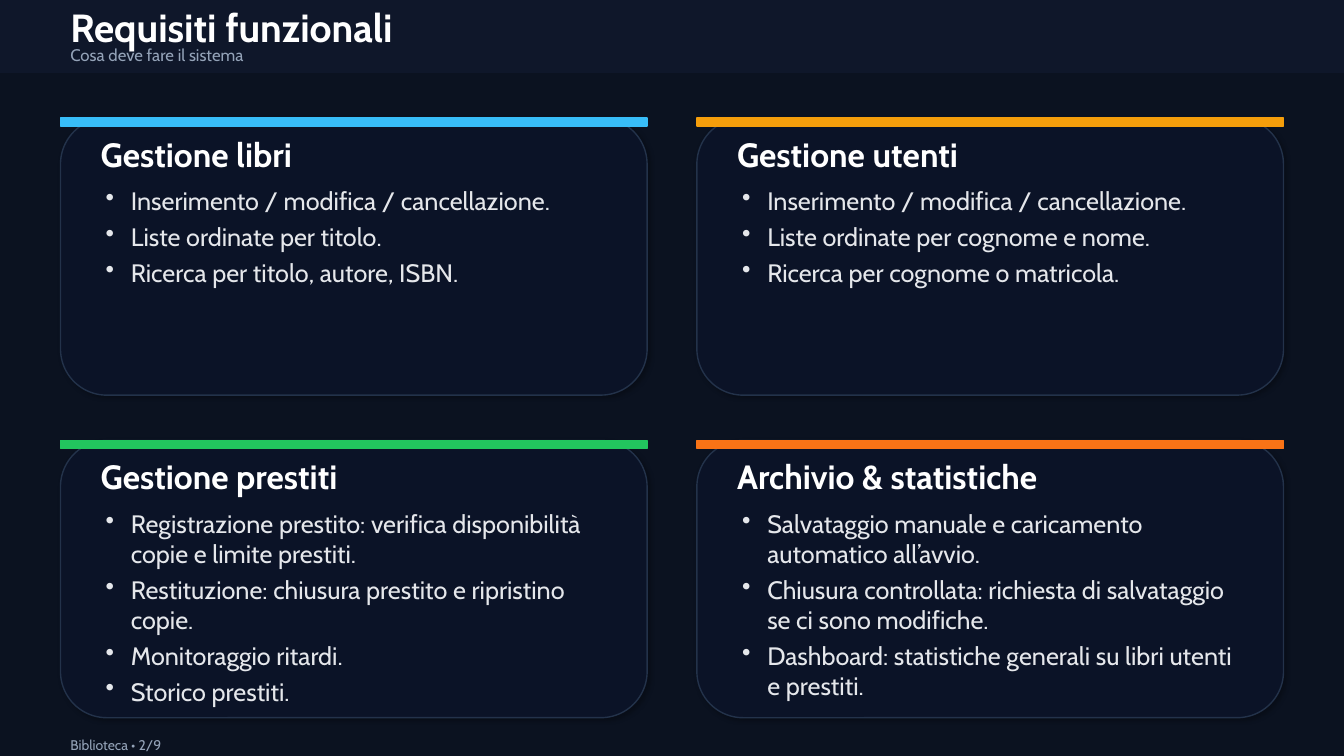
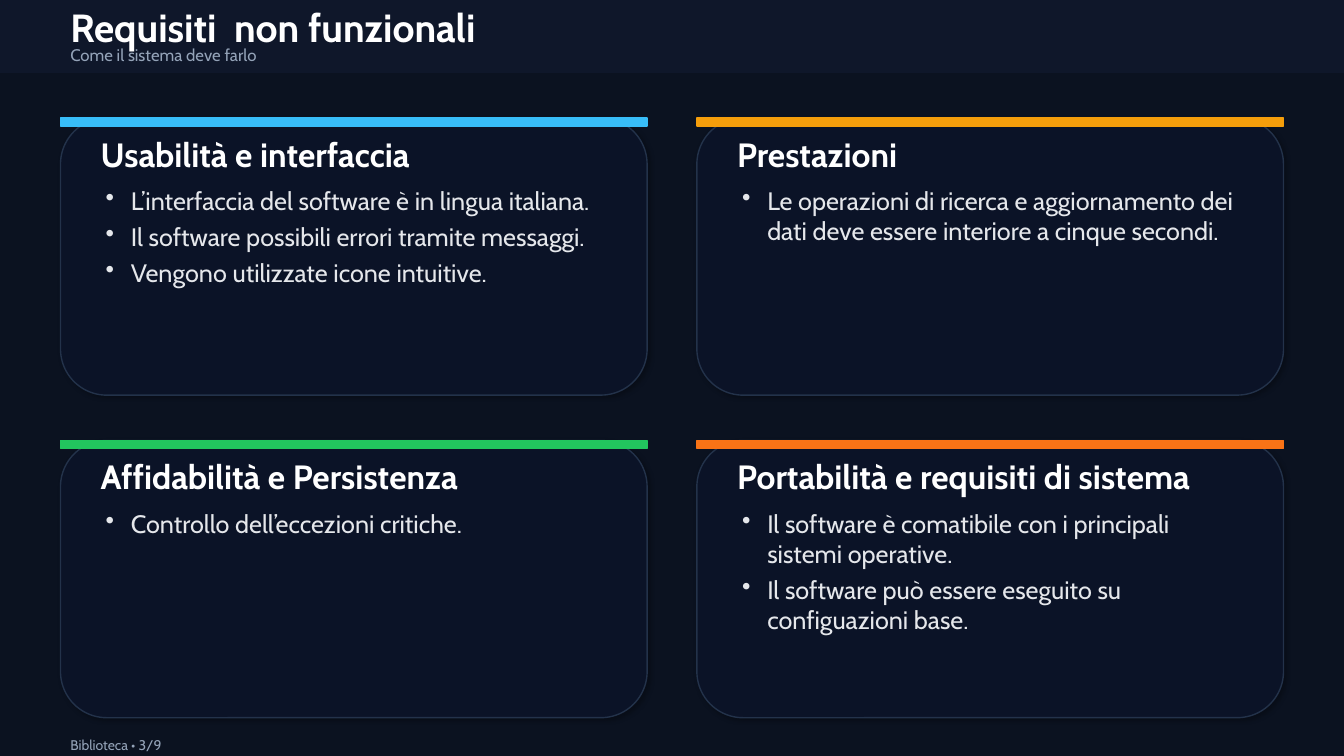
from lxml.etree import SubElement
from pptx import Presentation
from pptx.dml.color import RGBColor
from pptx.enum.shapes import MSO_SHAPE
from pptx.enum.text import MSO_ANCHOR
from pptx.oxml.ns import qn
from pptx.util import Pt

BACKGROUND = RGBColor(0x0B, 0x12, 0x20)
HEADER = RGBColor(0x0F, 0x17, 0x2A)
CARD = RGBColor(0x0B, 0x13, 0x27)
CARD_LINE = RGBColor(0x23, 0x32, 0x4A)
WHITE = RGBColor(0xFF, 0xFF, 0xFF)
BODY = RGBColor(0xE5, 0xE7, 0xEB)
MUTED = RGBColor(0x94, 0xA3, 0xB8)
SKY = RGBColor(0x38, 0xBD, 0xF8)
AMBER = RGBColor(0xF5, 0x9E, 0x0B)
GREEN = RGBColor(0x22, 0xC5, 0x5E)
ORANGE = RGBColor(0xF9, 0x73, 0x16)
ACCENTS = [SKY, AMBER, GREEN, ORANGE]

FORMATS = {
    "title": {"size": Pt(28), "bold": True, "color": WHITE},
    "subtitle": {"size": Pt(12), "bold": False, "color": MUTED},
    "heading": {"size": Pt(24), "bold": True, "color": WHITE},
    "bullets": {"size": Pt(18), "bold": False, "color": BODY},
    "footer": {"size": Pt(10), "bold": False, "color": MUTED},
}

WIDTH, HEIGHT = 960, 540
MARGIN = 43.2
CARD_TOP = 84.24
CARD_WIDTH, CARD_HEIGHT = 419.04, 198
COLUMN_STEP = WIDTH - 2 * MARGIN - CARD_WIDTH
ROW_STEP = 230.4

SLIDES = [
    ("Requisiti funzionali", "Cosa deve fare il sistema", [
        ("Gestione libri", [
            "Inserimento / modifica / cancellazione.",
            "Liste ordinate per titolo.",
            "Ricerca per titolo, autore, ISBN.",
        ]),
        ("Gestione utenti", [
            "Inserimento / modifica / cancellazione.",
            "Liste ordinate per cognome e nome.",
            "Ricerca per cognome o matricola.",
        ]),
        ("Gestione prestiti", [
            "Registrazione prestito: verifica disponibilità copie e limite prestiti.",
            "Restituzione: chiusura prestito e ripristino copie.",
            "Monitoraggio ritardi.",
            "Storico prestiti.",
        ]),
        ("Archivio & statistiche", [
            "Salvataggio manuale e caricamento automatico all’avvio.",
            "Chiusura controllata: richiesta di salvataggio se ci sono modifiche.",
            "Dashboard: statistiche generali su libri utenti e prestiti.",
        ]),
    ]),
    ("Requisiti  non funzionali", "Come il sistema deve farlo", [
        ("Usabilità e interfaccia", [
            "L’interfaccia del software è in lingua italiana.",
            "Il software possibili errori tramite messaggi.",
            "Vengono utilizzate icone intuitive.",
        ]),
        ("Prestazioni", [
            "Le operazioni di ricerca e aggiornamento dei dati deve essere interiore a cinque secondi.",
        ]),
        ("Affidabilità e Persistenza", [
            "Controllo dell’eccezioni critiche.",
        ]),
        ("Portabilità e requisiti di sistema", [
            "Il software è comatibile con i principali sistemi operative.",
            "Il software può essere eseguito su configuazioni base.",
        ]),
    ]),
]


def add_panel(page, preset, left, top, width, height, fill, line):
    panel = page.shapes.add_shape(preset, Pt(left), Pt(top), Pt(width), Pt(height))
    panel.shadow.inherit = False
    panel.fill.solid()
    panel.fill.fore_color.rgb = fill
    panel.line.color.rgb = line
    panel.line.width = Pt(1)
    return panel


def add_text(page, style, lines, left, top, width, height):
    box = page.shapes.add_textbox(Pt(left), Pt(top), Pt(width), Pt(height))
    frame = box.text_frame
    frame.word_wrap = True
    bulleted = style == "bullets"
    frame.vertical_anchor = MSO_ANCHOR.TOP if bulleted else MSO_ANCHOR.MIDDLE
    for index, line in enumerate(lines):
        para = frame.add_paragraph() if index else frame.paragraphs[0]
        span = para.add_run()
        span.text = line
        span.font.name = "Cabin"
        for name, value in FORMATS[style].items():
            if name == "color":
                span.font.color.rgb = value
            else:
                setattr(span.font, name, value)
        if bulleted:
            para.space_after = Pt(4)
            properties = para._p.get_or_add_pPr()
            properties.set("marL", str(Pt(18)))
            properties.set("indent", str(-Pt(18)))
            SubElement(properties, qn("a:buChar"), char="•")


deck = Presentation()
deck.slide_width, deck.slide_height = Pt(WIDTH), Pt(HEIGHT)

for number, (title, subtitle, cards) in enumerate(SLIDES, start=2):
    page = deck.slides.add_slide(deck.slide_layouts[6])
    page.background.fill.solid()
    page.background.fill.fore_color.rgb = BACKGROUND

    add_panel(page, MSO_SHAPE.RECTANGLE, 0, 0, WIDTH, 51.84, HEADER, HEADER)
    add_text(page, "title", [title], MARGIN, 7.92, 787, 23.04)
    add_text(page, "subtitle", [subtitle], MARGIN, 30.24, 787, 17.28)

    for index, (heading, bullets) in enumerate(cards):
        row, column = divmod(index, 2)
        left = MARGIN + column * COLUMN_STEP
        top = CARD_TOP + row * ROW_STEP
        accent = ACCENTS[index]

        card = add_panel(page, MSO_SHAPE.ROUNDED_RECTANGLE, left, top,
                         CARD_WIDTH, CARD_HEIGHT, CARD, CARD_LINE)
        effects = card._element.spPr.find(qn("a:effectLst"))
        shadow = SubElement(effects, qn("a:outerShdw"), blurRad=str(Pt(3)),
                            dist=str(Pt(2)), dir="2700000", rotWithShape="0")
        shade = SubElement(shadow, qn("a:srgbClr"), val="000000")
        SubElement(shade, qn("a:alpha"), val="25000")

        add_panel(page, MSO_SHAPE.RECTANGLE, left, top, CARD_WIDTH, 5.76, accent, accent)
        add_text(page, "heading", [heading], left + 21.6, top + 12.96, CARD_WIDTH - 43.2, 25.2)
        add_text(page, "bullets", bullets, left + 25.2, top + 44.64, CARD_WIDTH - 50.4, 144)

    add_panel(page, MSO_SHAPE.RECTANGLE, 0, 522, WIDTH, 18, BACKGROUND, BACKGROUND)
    add_text(page, "footer", [f"Biblioteca • {number}/9"], MARGIN, 524.16,
             WIDTH - 2 * MARGIN, 15.12)

deck.save("out.pptx")
